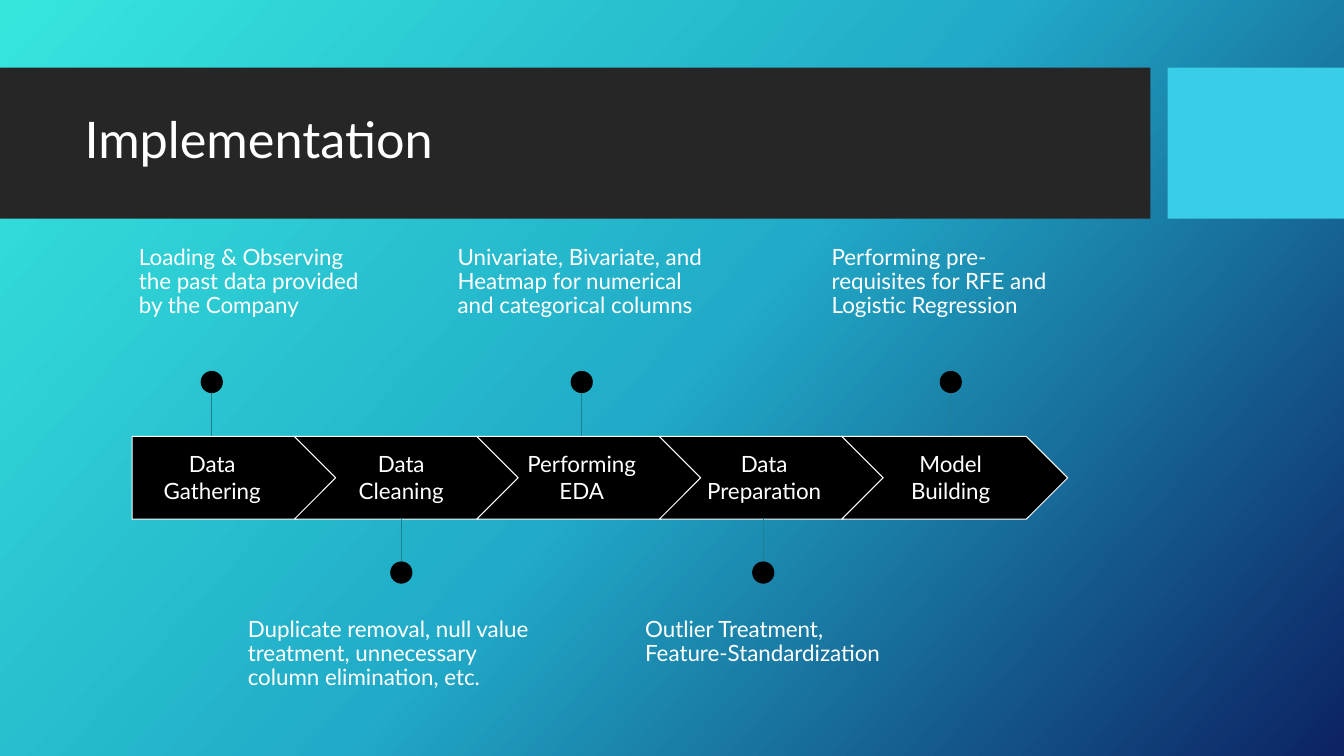
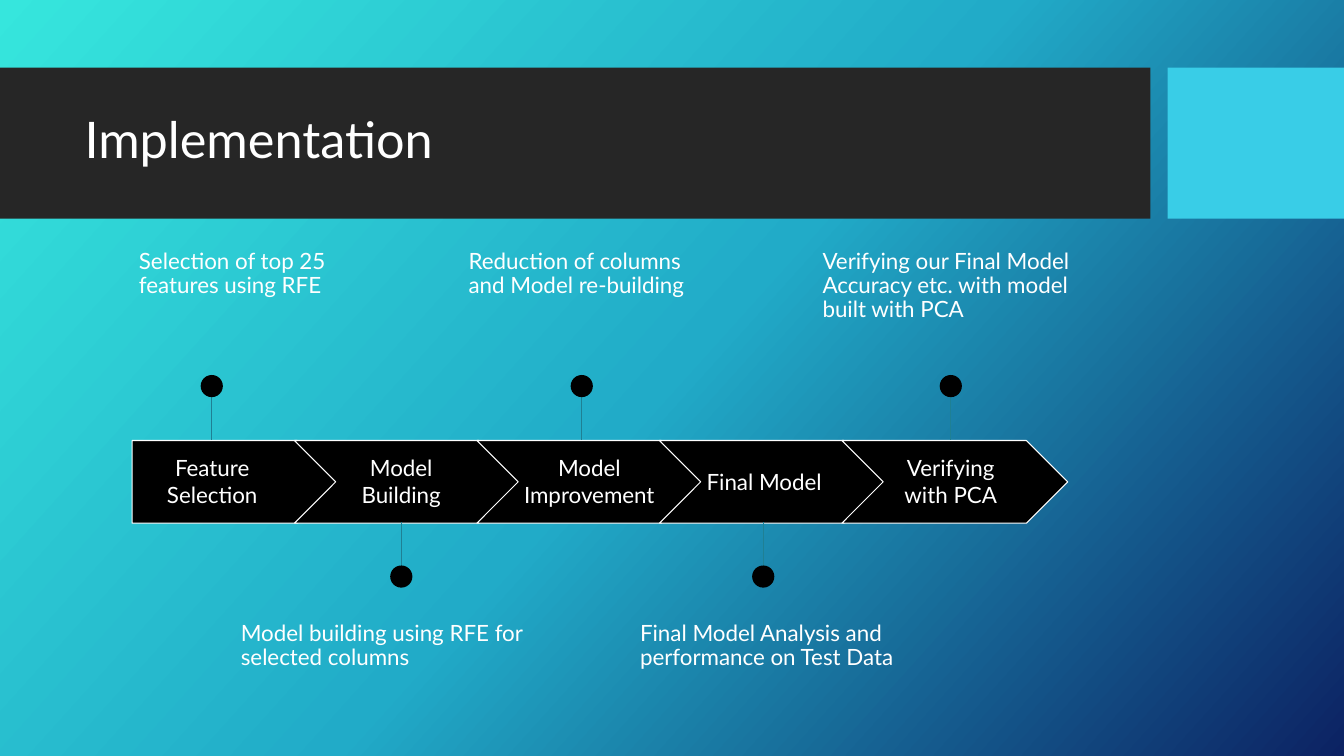
from dataclasses import dataclass
from typing import NamedTuple

from copy import deepcopy
from lxml import etree
from pptx import Presentation, util as u
from pptx.dml.color import RGBColor
from pptx.enum import shapes, text
from pptx.oxml.ns import qn

EMU_PER_PX = 9144  # 100 px to the inch


@dataclass(frozen=True)
class Theme:
    font: str = "Lato"
    title_size: int = 36
    body_size: int = 16
    line_width: float = 0.75
    white: str = "FFFFFF"
    black: str = "000000"
    band: str = "262626"
    accent: str = "39CDE7"
    stem: str = "1F8094"
    gradient: tuple[str, ...] = ("36E6DD", "21ABC8", "0C2263")
    gradient_angle: int = 42


THEME = Theme()


class Box(NamedTuple):
    left: int
    top: int
    width: int
    height: int


class Slot(NamedTuple):
    """Where the arrow, label and marker of one stage stand in the process."""
    arrow_left: int
    arrow_width: int
    label_left: int
    marker_x: int


class Stage(NamedTuple):
    label: str
    note: str
    note_left: int
    note_width: int
    note_height: int = 99
    label_width: int = 144


class Process(NamedTuple):
    title: str
    arrow_top: int
    stages: tuple[Stage, ...]


class Side(NamedTuple):
    """Offsets from the top of the arrows to the parts of a call-out."""
    stem_start: int
    stem_end: int
    dot: int
    note: int


SLIDE_WIDTH, SLIDE_HEIGHT = 1333, 750
TITLE_BAND = Box(0, 67, 1141, 150)
ACCENT_BAND = Box(1158, 67, 175, 150)
TITLE_BOX = Box(74, 82, 1051, 118)
ARROW_HEIGHT = 82
LABEL_OFFSET, LABEL_HEIGHT = 15, 51
DOT_SIZE = 22
SIDES = (Side(-60, 0, -65, -199), Side(141, 81, 124, 170))

CHEVRON_LEFT, CHEVRON_WIDTH, CHEVRON_STEP = 292, 224, 181
SLOTS = (Slot(131, 205, 131, 210),) + tuple(
    Slot(CHEVRON_LEFT + CHEVRON_STEP * index, CHEVRON_WIDTH, label_left, marker_x)
    for index, (label_left, marker_x) in enumerate(
        ((326, 398), (505, 577), (686, 757), (871, 943)))
)

PROCESSES = (
    Process("Implementation", 433, (
        Stage("Data Gathering", "Loading & Observing the past data provided by the Company",
              128, 245, label_width=159),
        Stage("Data Cleaning",
              "Duplicate removal, null value treatment, unnecessary column elimination, etc.",
              236, 320, note_height=82),
        Stage("Performing EDA",
              "Univariate, Bivariate, and Heatmap for numerical and categorical columns",
              444, 265),
        Stage("Data Preparation", "Outlier Treatment, Feature-Standardization",
              630, 255, note_height=82),
        Stage("Model Building", "Performing pre-requisites for RFE and Logistic Regression",
              815, 255),
    )),
    Process("Implementation", 437, (
        Stage("Feature Selection", "Selection of top 25 features using RFE",
              128, 245, label_width=159),
        Stage("Model Building", "Model building using RFE for selected columns", 229, 336),
        Stage("Model Improvement", "Reduction of columns and Model re-building",
              455, 245, label_width=159),
        Stage("Final Model", "Final Model Analysis and performance on Test Data", 625, 274),
        Stage("Verifying with PCA",
              "Verifying our Final Model Accuracy etc. with model built with PCA", 806, 274),
    )),
)


def px(length: int) -> u.Emu:
    return u.Emu(length * EMU_PER_PX)


def emu(box: Box) -> list[u.Emu]:
    return [px(length) for length in box]


def color(value: str) -> RGBColor:
    return RGBColor.from_string(value)


def add_text(slide, content: str, box: Box, *, size: int = THEME.body_size,
             anchor=text.MSO_ANCHOR.TOP, align=text.PP_ALIGN.LEFT,
             line_spacing: float = 1.0, space_after: int = 0, inset: int = 10) -> None:
    shape = slide.shapes.add_textbox(*emu(box))
    frame = shape.text_frame
    frame.word_wrap = True
    frame.vertical_anchor = anchor
    frame.margin_left = frame.margin_right = px(10)
    frame.margin_top = frame.margin_bottom = px(inset)
    paragraph = frame.paragraphs[0]
    paragraph.alignment = align
    paragraph.line_spacing = line_spacing
    paragraph.space_after = u.Pt(space_after)
    run = paragraph.add_run()
    run.text = content
    run.font.name = THEME.font
    run.font.size = u.Pt(size)
    run.font.color.rgb = color(THEME.white)


def add_filled(container, kind, box: Box, fill: str, line: str | None = None):
    """Add a preset shape to a slide or a group, with an outline if one is named."""
    shape = container.shapes.add_shape(kind, *emu(box))
    shape.shadow.inherit = False
    shape.fill.solid()
    shape.fill.fore_color.rgb = color(fill)
    if line:
        shape.line.color.rgb = color(line)
        shape.line.width = u.Pt(THEME.line_width)
    else:
        shape.line.fill.background()
    return shape


def add_marker(slide, x: int, arrow_top: int, side: Side) -> None:
    """Group the stem and the dot that tie an arrow to its note."""
    group = slide.shapes.add_group_shape()
    stem = group.shapes.add_connector(
        shapes.MSO_CONNECTOR.STRAIGHT,
        px(x), px(arrow_top + side.stem_start), px(x), px(arrow_top + side.stem_end))
    stem.line.color.rgb = color(THEME.stem)
    stem.line.width = u.Pt(THEME.line_width)
    etree.SubElement(stem.element.spPr, qn("a:effectLst"))
    dot = Box(x - DOT_SIZE // 2, arrow_top + side.dot, DOT_SIZE, DOT_SIZE)
    add_filled(group, shapes.MSO_SHAPE.OVAL, dot, THEME.black)


def add_stage(slide, stage: Stage, slot: Slot, arrow_top: int, kind, side: Side) -> None:
    arrow_box = Box(slot.arrow_left, arrow_top, slot.arrow_width, ARROW_HEIGHT)
    arrow = add_filled(slide, kind, arrow_box, THEME.black, THEME.white)
    arrow.adjustments[0] = 0.5
    add_text(slide, stage.label,
             Box(slot.label_left, arrow_top + LABEL_OFFSET, stage.label_width, LABEL_HEIGHT),
             anchor=text.MSO_ANCHOR.MIDDLE, align=text.PP_ALIGN.CENTER)
    add_marker(slide, slot.marker_x, arrow_top, side)
    add_text(slide, stage.note,
             Box(stage.note_left, arrow_top + side.note, stage.note_width, stage.note_height),
             line_spacing=0.9, space_after=16)


def add_process_slide(presentation, process: Process) -> None:
    slide = presentation.slides.add_slide(presentation.slide_layouts[6])
    add_filled(slide, shapes.MSO_SHAPE.RECTANGLE, TITLE_BAND, THEME.band)
    add_filled(slide, shapes.MSO_SHAPE.RECTANGLE, ACCENT_BAND, THEME.accent)
    add_text(slide, process.title, TITLE_BOX, size=THEME.title_size,
             anchor=text.MSO_ANCHOR.MIDDLE, line_spacing=0.9, inset=5)
    for index, (stage, slot) in enumerate(zip(process.stages, SLOTS)):
        kind = shapes.MSO_SHAPE.CHEVRON if index else shapes.MSO_SHAPE.PENTAGON
        add_stage(slide, stage, slot, process.arrow_top, kind, SIDES[index % 2])


def set_background(master) -> None:
    """Give the master a gradient with evenly spaced stops."""
    fill = master.background.fill
    fill.gradient()
    fill.gradient_angle = 360 - THEME.gradient_angle
    stop_list = master.element.find(".//" + qn("a:gsLst"))
    while len(stop_list) < len(THEME.gradient):
        stop_list.append(deepcopy(stop_list[0]))
    for index, (stop, value) in enumerate(zip(fill.gradient_stops, THEME.gradient)):
        stop.position = index / (len(THEME.gradient) - 1)
        stop.color.rgb = color(value)


def main() -> None:
    presentation = Presentation()
    presentation.slide_width = px(SLIDE_WIDTH)
    presentation.slide_height = px(SLIDE_HEIGHT)
    set_background(presentation.slide_master)
    for process in PROCESSES:
        add_process_slide(presentation, process)
    presentation.save("out.pptx")


if __name__ == "__main__":
    main()
